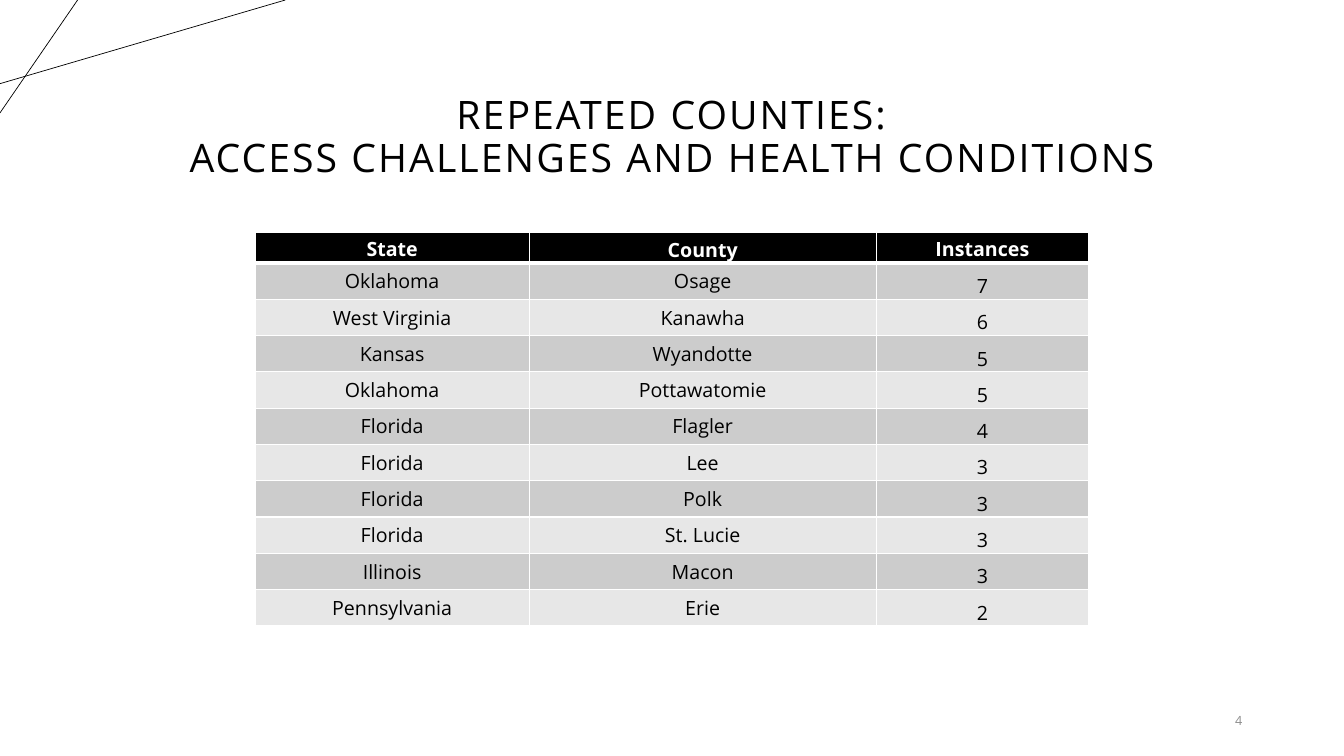
import pptx
import pptx.util
import pptx.dml.color
import pptx.enum.text
import pptx.enum.shapes
import pptx.oxml
import pptx.oxml.ns
from lxml import etree

TITLE = "REPEATED COUNTIES:\vACCESS CHALLENGES AND HEALTH CONDITIONS"
PAGE = "4"
HEADINGS = ("State", "County", "Instances")
COUNTIES = [
    ("Oklahoma", "Osage", 7),
    ("West Virginia", "Kanawha", 6),
    ("Kansas", "Wyandotte", 5),
    ("Oklahoma", "Pottawatomie", 5),
    ("Florida", "Flagler", 4),
    ("Florida", "Lee", 3),
    ("Florida", "Polk", 3),
    ("Florida", "St. Lucie", 3),
    ("Illinois", "Macon", 3),
    ("Pennsylvania", "Erie", 2),
]
CORNER_LINES = [((0, 0.83), (2.83, 0)), ((0.77, 0), (0, 1.12))]

FONT = "Open Sans"
BLACK, WHITE, GREY = "000000", "FFFFFF", "8C8C8C"
BANDS = ("CCCCCC", "E7E7E7")
WIDTH, HEIGHT = 13.33, 7.5
TABLE_LEFT, TABLE_TOP = 2.53, 2.31
COLUMNS = (2.72, 3.44, 2.11)
HEADING_ROW, COUNTY_ROW = 0.3, 0.36
TIGHT, ROOMY = (0.01, 0.01, 0.01, 0), (0.01, 0.04, 0.01, 0.04)

Inches, Pt = pptx.util.Inches, pptx.util.Pt
ALIGN, ANCHOR = pptx.enum.text.PP_ALIGN, pptx.enum.text.MSO_ANCHOR


def color(value):
    """Turn a hex string into a colour."""
    return pptx.dml.color.RGBColor.from_string(value)


def write(paragraph, text, size, ink, align, bold=False):
    """Fill a paragraph and set its font."""
    paragraph.text = text
    paragraph.alignment = align
    font = paragraph.font
    font.name, font.size, font.bold = FONT, Pt(size), bold
    font.color.rgb = color(ink)


def add_text(slide, box, anchor, *style):
    """Add a wrapped text box and return its paragraph."""
    frame = slide.shapes.add_textbox(*map(Inches, box)).text_frame
    frame.word_wrap = True
    frame.vertical_anchor = anchor
    paragraph = frame.paragraphs[0]
    write(paragraph, *style)
    return paragraph


def add_corner_line(slide, start, end):
    """Draw one thin black line across the corner."""
    line = slide.shapes.add_connector(
        pptx.enum.shapes.MSO_CONNECTOR.STRAIGHT, *map(Inches, start + end))
    line.line.color.rgb = color(BLACK)
    line.line.width = Pt(0.5)
    etree.SubElement(line._element.spPr, pptx.oxml.ns.qn("a:effectLst"))


def set_borders(cell, top, bottom):
    """Give a cell white borders, one point wide at the sides."""
    widths = {"lnL": 1, "lnR": 1, "lnT": top, "lnB": bottom}
    for place, (tag, width) in enumerate(widths.items()):
        border = pptx.oxml.parse_xml(
            f'<a:{tag} {pptx.oxml.ns.nsdecls("a")} w="{Pt(width)}"><a:solidFill>'
            f'<a:srgbClr val="{WHITE}"/></a:solidFill></a:{tag}>')
        cell._tc.get_or_add_tcPr().insert(place, border)


def add_county_table(slide):
    """Add the table of counties with banded rows."""
    rows = [HEADINGS] + COUNTIES
    heights = [HEADING_ROW] + [COUNTY_ROW] * len(COUNTIES)
    box = (TABLE_LEFT, TABLE_TOP, sum(COLUMNS), sum(heights))
    table = slide.shapes.add_table(
        len(rows), len(COLUMNS), *map(Inches, box)).table
    for column, width in zip(table.columns, COLUMNS):
        column.width = Inches(width)
    for r, (values, height) in enumerate(zip(rows, heights)):
        table.rows[r].height = Inches(height)
        heading = r == 0
        low_column = 1 if heading else 2
        for c, value in enumerate(values):
            cell = table.cell(r, c)
            cell.fill.solid()
            cell.fill.fore_color.rgb = color(BLACK if heading else BANDS[(r - 1) % 2])
            low = c == low_column
            cell.vertical_anchor = ANCHOR.BOTTOM if low else ANCHOR.MIDDLE
            margins = TIGHT if heading or low else ROOMY
            (cell.margin_left, cell.margin_top,
             cell.margin_right, cell.margin_bottom) = map(Inches, margins)
            write(cell.text_frame.paragraphs[0], str(value), 14,
                  WHITE if heading else BLACK, ALIGN.CENTER, heading)
            set_borders(cell, 3 if r == 1 else 1, 3 if heading else 1)


def main():
    """Build the slide and save it."""
    deck = pptx.Presentation()
    deck.slide_width, deck.slide_height = Inches(WIDTH), Inches(HEIGHT)
    slide = deck.slides.add_slide(deck.slide_layouts[6])
    for start, end in CORNER_LINES:
        add_corner_line(slide, start, end)
    title = add_text(slide, (0.92, 0.39, 11.5, 1.45), ANCHOR.BOTTOM,
                     TITLE, 28, BLACK, ALIGN.CENTER)
    title.line_spacing = 0.9
    title._p.get_or_add_pPr().get_or_add_defRPr().set("spc", "150")
    page = add_text(slide, (11.34, 6.95, 1.08, 0.4), ANCHOR.MIDDLE,
                    PAGE, 9, GREY, ALIGN.RIGHT)
    page.space_after = Pt(6)
    add_county_table(slide)
    deck.save("out.pptx")


if __name__ == "__main__":
    main()
